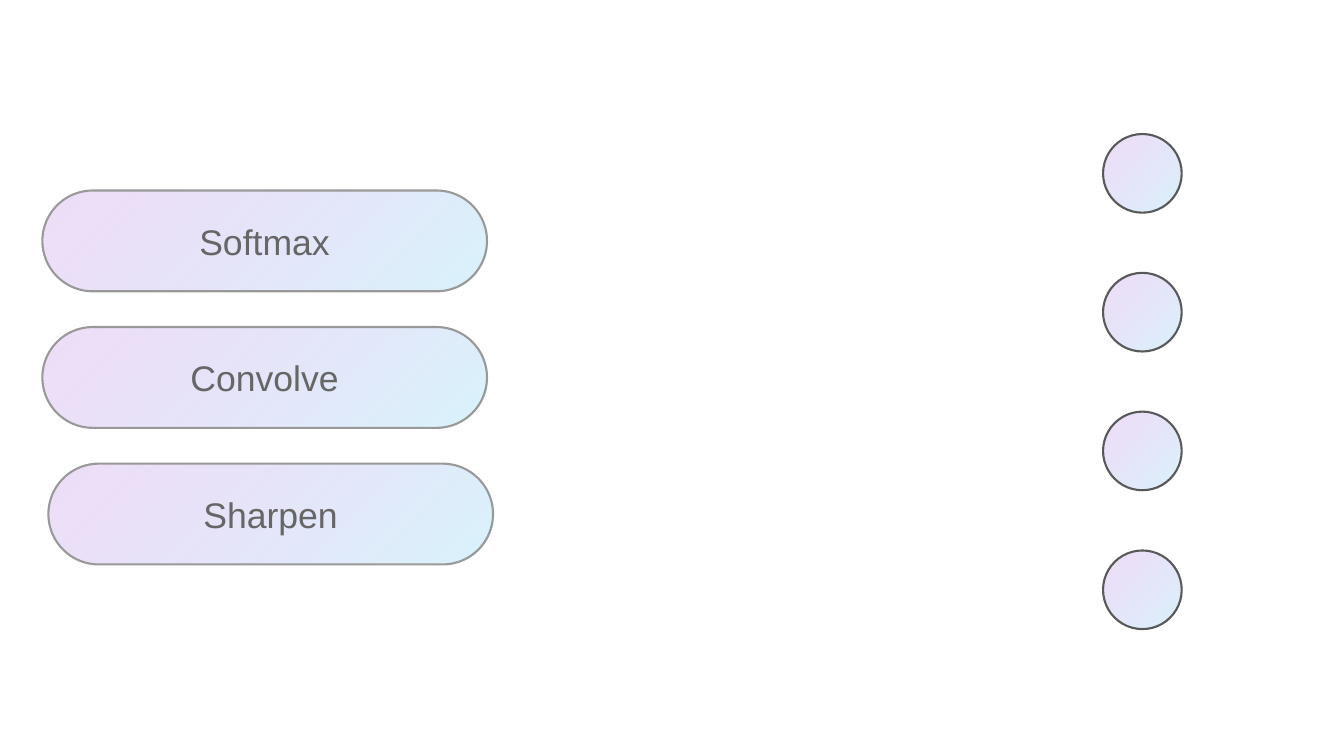
from lxml.etree import SubElement
from pptx import Presentation
from pptx.dml.color import RGBColor
from pptx.enum.shapes import MSO_SHAPE as Shape
from pptx.enum.text import MSO_ANCHOR as Anchor, PP_ALIGN as Align
from pptx.oxml.ns import qn
from pptx.util import Inches, Pt


def color(hex_value):
    return RGBColor.from_string(hex_value)


class OperationSlide:
    """Holds the shared style and the slide being drawn."""

    gradient = [("69D4F4", 26), ("9F39D5", 17)]  # colour, opacity in percent
    gradient_angle = 135
    line_width = Pt(1.5)
    font_format = {"name": "Arial", "size": Pt(25.4)}
    frame_format = {
        "word_wrap": True,
        "vertical_anchor": Anchor.MIDDLE,
        **{f"margin_{side}": Inches(0.13) for side in ("left", "top", "right", "bottom")},
    }

    def __init__(self, presentation):
        self.slide = presentation.slides.add_slide(presentation.slide_layouts[6])

    def gradient_shape(self, kind, left, top, width, height, line_color):
        box = [Inches(length) for length in (left, top, width, height)]
        shape = self.slide.shapes.add_shape(kind, *box)
        shape.shadow.inherit = False
        shape.line.color.rgb = color(line_color)
        shape.line.width = self.line_width

        # Translucent two-colour gradient
        shape.fill.gradient()
        shape.fill.gradient_angle = self.gradient_angle
        for stop, (hex_value, _) in zip(shape.fill.gradient_stops, self.gradient):
            stop.color.rgb = color(hex_value)
        stop_colors = shape.element.iter(qn("a:gs"))
        for stop, (_, opacity) in zip(stop_colors, self.gradient):
            SubElement(stop[0], qn("a:alpha"), val=str(opacity * 1000))
        return shape

    def pill(self, label, left, top):
        shape = self.gradient_shape(Shape.ROUNDED_RECTANGLE, left, top, 4.41, 1, "999999")
        shape.adjustments[0] = 0.5
        frame = shape.text_frame
        for name, value in self.frame_format.items():
            setattr(frame, name, value)
        paragraph = frame.paragraphs[0]
        paragraph.alignment = Align.CENTER
        run = paragraph.add_run()
        run.text = label
        for name, value in self.font_format.items():
            setattr(run.font, name, value)
        run.font.color.rgb = color("666666")

    def node(self, left, top):
        self.gradient_shape(Shape.OVAL, left, top, 0.78, 0.78, "595959")


def main():
    presentation = Presentation()
    presentation.slide_width = Inches(13.33)
    presentation.slide_height = Inches(7.5)
    slide = OperationSlide(presentation)

    # Operations on the left
    operations = [("Softmax", 0.42), ("Convolve", 0.42), ("Sharpen", 0.48)]
    for row, (label, left) in enumerate(operations):
        slide.pill(label, left, 1.89 + row * 1.355)

    # Column of nodes on the right
    for row in range(4):
        slide.node(10.94, 1.33 + row * 1.377)

    presentation.save("out.pptx")


if __name__ == "__main__":
    main()
